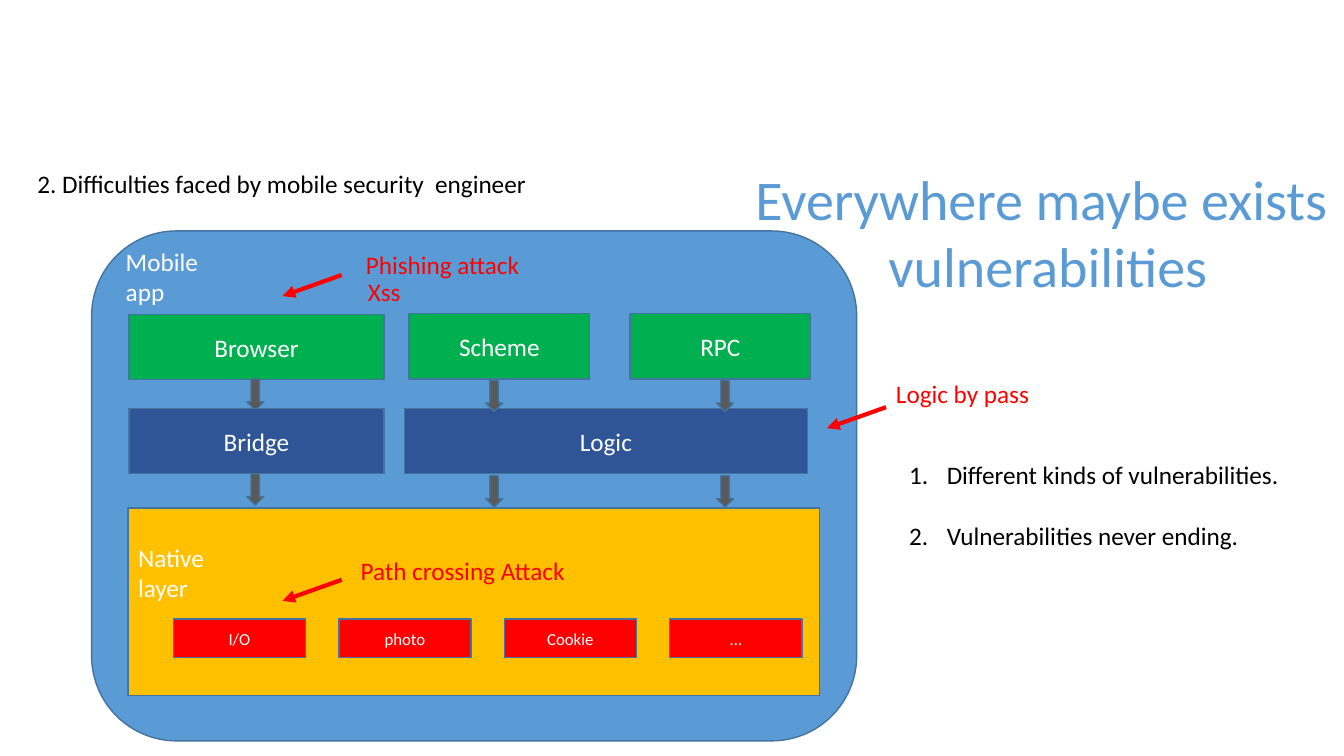
from dataclasses import dataclass
from typing import Optional

from lxml.etree import SubElement
from pptx import Presentation
from pptx.dml.color import RGBColor
from pptx.enum.shapes import MSO_CONNECTOR, MSO_SHAPE
from pptx.enum.text import MSO_ANCHOR, PP_ALIGN
from pptx.oxml.ns import qn
from pptx.util import Cm, Pt

FONT = "Calibri"
BLACK = RGBColor(0x00, 0x00, 0x00)
WHITE = RGBColor(0xFF, 0xFF, 0xFF)
RED = RGBColor(0xFF, 0x00, 0x00)
BLUE = RGBColor(0x5B, 0x9B, 0xD5)
NAVY = RGBColor(0x2F, 0x55, 0x97)
EDGE = RGBColor(0x43, 0x73, 0x9E)
GREEN = RGBColor(0x00, 0xB0, 0x50)
GOLD = RGBColor(0xFF, 0xC0, 0x00)
GREY = RGBColor(0x59, 0x59, 0x59)


@dataclass
class Block:
    left: float
    top: float
    width: float
    height: float
    fill: RGBColor
    text: str = ""
    size: int = 18
    kind: MSO_SHAPE = MSO_SHAPE.RECTANGLE


@dataclass
class Label:
    left: float
    top: float
    width: float
    lines: list[str]
    color: RGBColor
    height: float = 1.02
    size: int = 18
    wrap: bool = False
    align: PP_ALIGN = PP_ALIGN.LEFT
    indent: Optional[float] = None
    gap: int = 0


@dataclass
class Pointer:
    left: float
    top: float


def add_run(para, text: str, size: int, color: RGBColor) -> None:
    run = para.add_run()
    run.text = text
    run.font.name = FONT
    run.font.size = Pt(size)
    run.font.color.rgb = color


def draw_block(slide, block: Block) -> None:
    shape = slide.shapes.add_shape(
        block.kind, Cm(block.left), Cm(block.top), Cm(block.width), Cm(block.height))
    shape.shadow.inherit = False
    shape.fill.solid()
    shape.fill.fore_color.rgb = block.fill
    shape.line.color.rgb = EDGE
    shape.line.width = Pt(1)
    if block.text:
        frame = shape.text_frame
        frame.vertical_anchor = MSO_ANCHOR.MIDDLE
        para = frame.paragraphs[0]
        para.alignment = PP_ALIGN.CENTER
        add_run(para, block.text, block.size, WHITE)


def add_number(para, indent: float) -> None:
    props = para._p.get_or_add_pPr()
    props.set("marL", str(Cm(indent)))
    props.set("indent", str(-Cm(indent)))
    SubElement(props, qn("a:buFont"), typeface="+mj-lt")
    SubElement(props, qn("a:buAutoNum"), type="arabicPeriod")


def draw_label(slide, label: Label) -> None:
    box = slide.shapes.add_textbox(
        Cm(label.left), Cm(label.top), Cm(label.width), Cm(label.height))
    frame = box.text_frame
    frame.word_wrap = label.wrap
    for index, line in enumerate(label.lines):
        para = frame.add_paragraph() if index else frame.paragraphs[0]
        if label.indent is not None:
            add_number(para, label.indent)
        para.alignment = label.align
        if index and label.gap:
            para.space_before = Pt(label.gap)
        add_run(para, line, label.size, label.color)


def draw_pointer(slide, point: Pointer) -> None:
    line = slide.shapes.add_connector(
        MSO_CONNECTOR.STRAIGHT, Cm(point.left), Cm(point.top),
        Cm(point.left - 1.49), Cm(point.top + 0.53))
    line.line.color.rgb = RED
    line.line.width = Pt(3)
    SubElement(line.line._get_or_add_ln(), qn("a:tailEnd"), type="triangle")
    SubElement(line._element.spPr, qn("a:effectLst"))


def down_arrow(left: float, top: float) -> Block:
    return Block(left, top, 0.43, 0.79, GREY, kind=MSO_SHAPE.DOWN_ARROW)


BLOCKS = [
    Block(2.31, 5.82, 19.28, 12.85, BLUE, kind=MSO_SHAPE.ROUNDED_RECTANGLE),
    Block(3.25, 7.92, 6.43, 1.65, GREEN, "Browser"),
    *[down_arrow(6.22, top) for top in (9.55, 11.94)],
    Block(3.25, 10.29, 6.43, 1.65, NAVY, "Bridge"),
    Block(3.23, 12.8, 17.42, 4.72, GOLD),
    *[Block(4.37 + 4.17 * col, 15.6, 3.33, 0.97, RED, name, 12)
      for col, name in enumerate(("I/O", "photo", "Cookie", "…"))],
    Block(10.31, 7.9, 4.55, 1.65, GREEN, "Scheme"),
    Block(15.88, 7.9, 4.55, 1.65, GREEN, "RPC"),
    Block(10.19, 10.29, 10.16, 1.65, NAVY, "Logic"),
    *[down_arrow(left, top) for left in (12.24, 18.06) for top in (9.58, 11.99)],
]

LABELS = [
    Label(22.66, 11.46, 9.96,
          ["Different kinds of vulnerabilities.", "Vulnerabilities never ending."],
          BLACK, height=2.57, wrap=True, indent=0.95, gap=22),
    Label(0.69, 4.11, 13, ["2. Difficulties faced by mobile security  engineer"], BLACK),
    Label(2.92, 6.07, 3.43, ["Mobile app"], WHITE),
    Label(3.23, 13.54, 3.53, ["Native layer"], WHITE),
    Label(22.33, 9.42, 3.91, ["Logic by pass"], RED),
    Label(8.84, 13.87, 5.72, ["Path crossing Attack"], RED),
    Label(8.97, 6.15, 4.42, ["Phishing attack"], RED),
    Label(9.02, 6.83, 1.35, ["Xss"], RED),
    Label(14.15, 4.01, 24.51, ["Everywhere maybe exists ", "vulnerabilities"],
          BLUE, height=3.68, size=40, wrap=True, align=PP_ALIGN.CENTER),
]

POINTERS = [Pointer(8.61, 14.61), Pointer(22.33, 10.26), Pointer(8.61, 6.93)]


def main() -> None:
    deck = Presentation()
    deck.slide_width = Cm(33.87)
    deck.slide_height = Cm(19.05)
    slide = deck.slides.add_slide(deck.slide_layouts[6])
    for block in BLOCKS:
        draw_block(slide, block)
    for label in LABELS:
        draw_label(slide, label)
    for point in POINTERS:
        draw_pointer(slide, point)
    deck.save("out.pptx")


if __name__ == "__main__":
    main()
